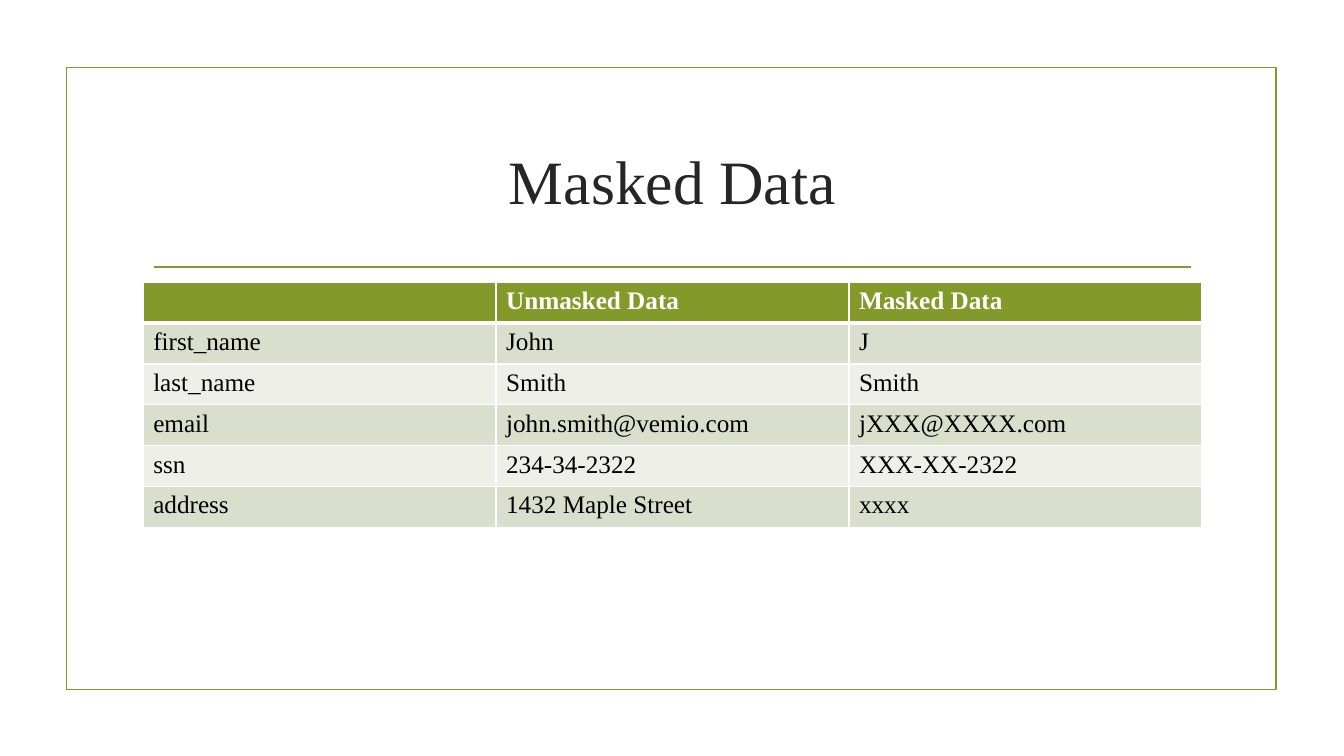
from lxml import etree
from pptx import Presentation
from pptx.dml.color import RGBColor
from pptx.enum.shapes import MSO_CONNECTOR, MSO_SHAPE
from pptx.enum.text import MSO_ANCHOR, PP_ALIGN
from pptx.oxml.ns import qn
from pptx.util import Inches, Pt

TITLE = "Masked Data"
RECORDS = [
    ("", "Unmasked Data", "Masked Data"),
    ("first_name", "John", "J"),
    ("last_name", "Smith", "Smith"),
    ("email", "john.smith@vemio.com", "jXXX@XXXX.com"),
    ("ssn", "234-34-2322", "XXX-XX-2322"),
    ("address", "1432 Maple Street", "xxxx"),
]
COLORS = {
    "accent": "83992A",
    "title": "262626",
    "header_text": "FFFFFF",
    "body_text": "000000",
    "grid": "FFFFFF",
    "odd": "D9DECD",
    "even": "EDEFE8",
}
FONT = "Times New Roman"
TITLE_FORMAT = {"name": FONT, "size": Pt(44), "bold": False}
HEADER_FORMAT = {"name": FONT, "size": Pt(18), "bold": True}
BODY_FORMAT = {"name": FONT, "size": Pt(18), "bold": False}
LEFT, WIDTH = 1.42, 10.5
TABLE_TOP, TABLE_HEIGHT = 2.8, 2.43


def color(key):
    return RGBColor.from_string(COLORS[key])


def style_font(font, formats, key):
    for attribute, value in formats.items():
        setattr(font, attribute, value)
    font.color.rgb = color(key)


def style_line(line):
    line.color.rgb = color("accent")
    line.width = Pt(1.25)


def add_borders(cell, top, bottom):
    properties = cell._tc.get_or_add_tcPr()
    sides = {"lnL": 1, "lnR": 1, "lnT": top, "lnB": bottom}
    for position, (side, points) in enumerate(sides.items()):
        border = etree.Element(qn(f"a:{side}"), w=str(Pt(points)))
        fill = etree.SubElement(border, qn("a:solidFill"))
        etree.SubElement(fill, qn("a:srgbClr"), val=COLORS["grid"])
        properties.insert(position, border)


def add_frame(slide):
    frame = slide.shapes.add_shape(
        MSO_SHAPE.RECTANGLE, Inches(0.66), Inches(0.67), Inches(12), Inches(6.17))
    frame.shadow.inherit = False
    frame.fill.background()
    style_line(frame.line)


def add_rule(slide):
    rule = slide.shapes.add_connector(
        MSO_CONNECTOR.STRAIGHT, Inches(1.53), Inches(2.65), Inches(11.81), Inches(2.65))
    style_line(rule.line)
    etree.SubElement(rule._element.spPr, qn("a:effectLst"))


def fill_title(slide):
    title = slide.shapes.title
    title.left, title.top = Inches(LEFT), Inches(1.07)
    title.width, title.height = Inches(WIDTH), Inches(1.43)
    title.text_frame.text = TITLE
    title.text_frame.vertical_anchor = MSO_ANCHOR.MIDDLE
    paragraph = title.text_frame.paragraphs[0]
    paragraph.alignment = PP_ALIGN.CENTER
    style_font(paragraph.runs[0].font, TITLE_FORMAT, "title")


def add_records(slide):
    table = slide.shapes.add_table(
        len(RECORDS), len(RECORDS[0]), Inches(LEFT), Inches(TABLE_TOP),
        Inches(WIDTH), Inches(TABLE_HEIGHT)).table
    for row, record in enumerate(RECORDS):
        header = row == 0
        fill = "accent" if header else "odd" if row % 2 else "even"
        formats = HEADER_FORMAT if header else BODY_FORMAT
        for column, value in enumerate(record):
            cell = table.cell(row, column)
            cell.fill.solid()
            cell.fill.fore_color.rgb = color(fill)
            add_borders(cell, 3 if row == 1 else 1, 3 if header else 1)
            if value:
                cell.text = value
                style_font(cell.text_frame.paragraphs[0].runs[0].font, formats,
                           "header_text" if header else "body_text")


def main():
    deck = Presentation()
    deck.slide_width, deck.slide_height = Inches(13.33), Inches(7.5)
    slide = deck.slides.add_slide(deck.slide_layouts[5])
    add_frame(slide)
    add_rule(slide)
    fill_title(slide)
    add_records(slide)
    deck.save("out.pptx")


if __name__ == "__main__":
    main()
